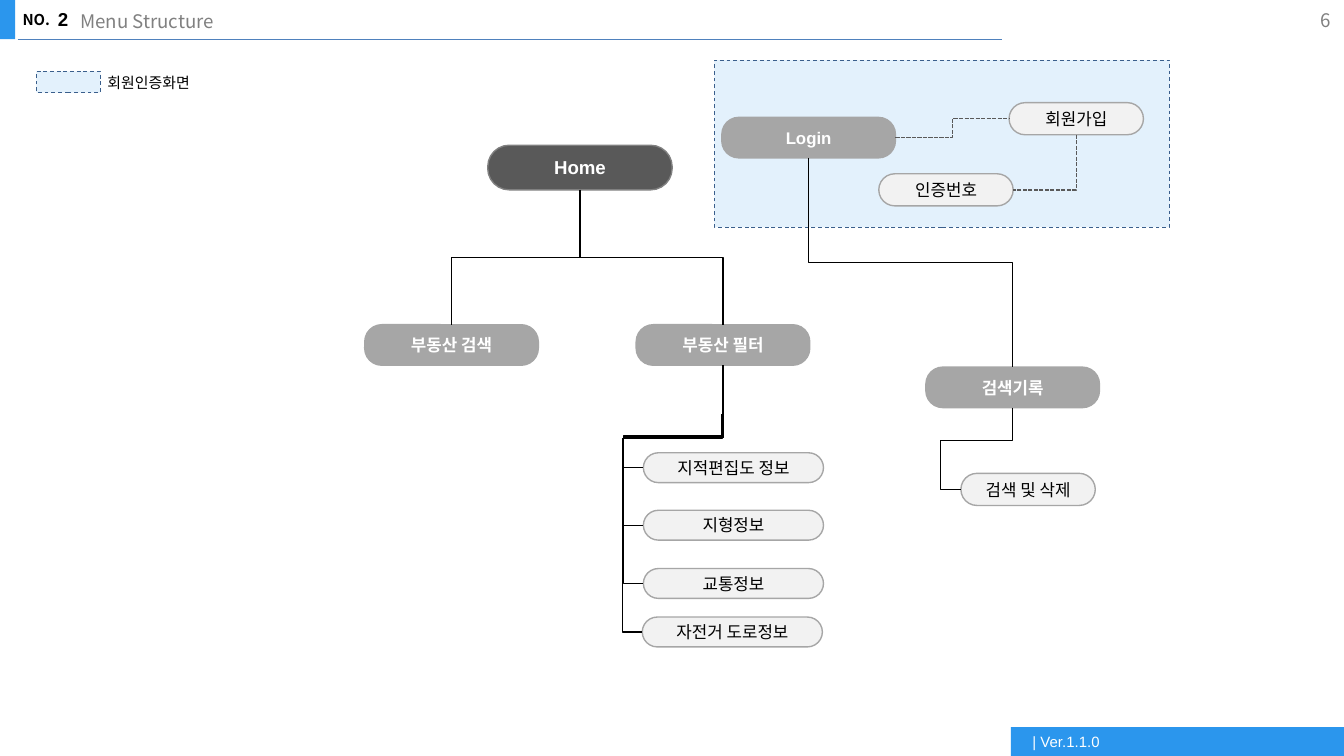
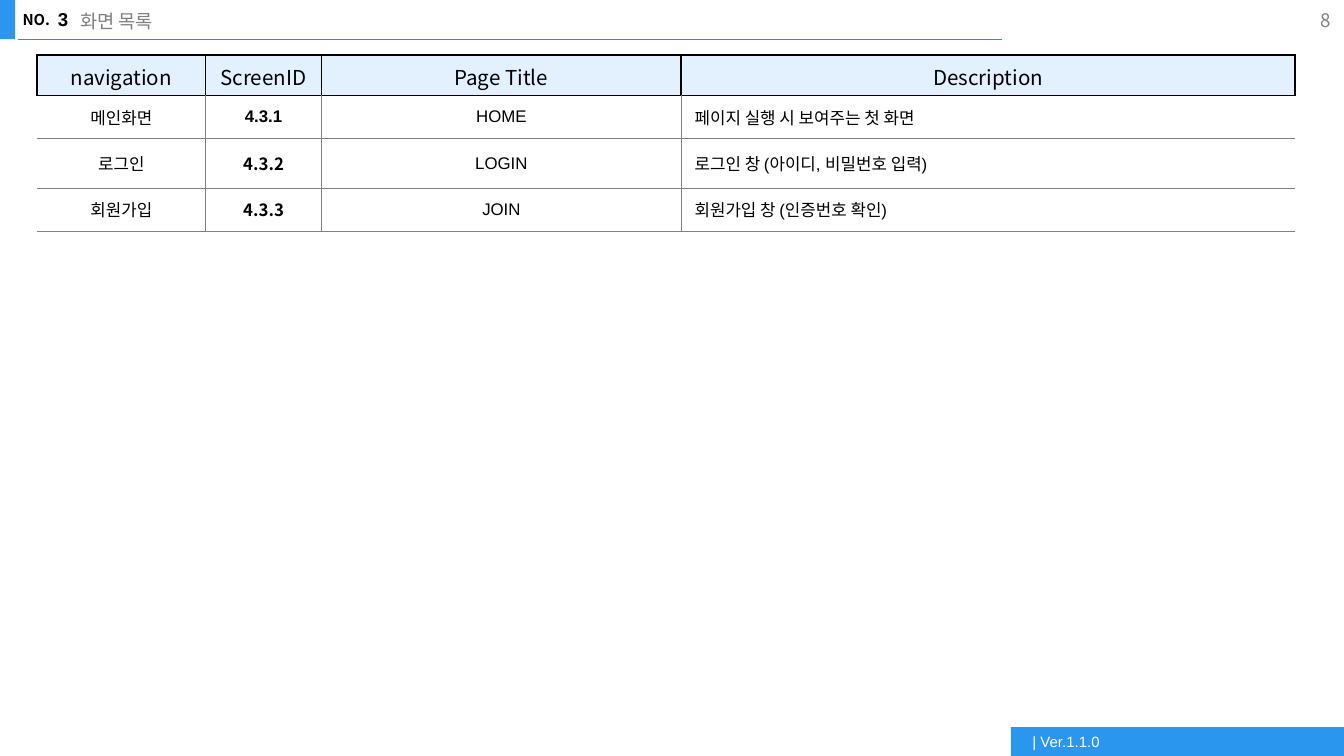
from lxml.etree import SubElement
from pptx import Presentation
from pptx.dml.color import RGBColor
from pptx.enum.dml import MSO_LINE as Dash
from pptx.enum.shapes import MSO_CONNECTOR as Link, MSO_SHAPE as Kind
from pptx.enum.text import MSO_ANCHOR as Anchor, PP_ALIGN as Align
from pptx.oxml import parse_xml
from pptx.oxml.ns import nsdecls, qn
from pptx.util import Pt


class Theme:
    blue, rule, white, black = "2B96ED", "4F81BD", "FFFFFF", "000000"
    pale, edge, head = "E3F1FC", "3A5F8C", "E2F1FD"
    dark, grey, mid, light = "595959", "808080", "A6A6A6", "F2F2F2"
    sans, noto = "Arial", "Noto Sans CJK KR"
    small, body, title, large = 8, 9, 10, 11
    hair, thin, line, thick = 0.25, 0.5, 0.75, 1


def write(frame, text, size, font, color=Theme.black, bold=False, align=Align.LEFT):
    par = frame.paragraphs[0]
    par.alignment = align
    run = par.add_run()
    run.text = text
    run.font.size, run.font.bold, run.font.name = Pt(size), bold, font
    run.font.color.rgb = RGBColor.from_string(color)
    SubElement(run.font._element, qn("a:ea"), typeface=Theme.noto)


def block(slide, kind, box, fill, edge=None, width=Theme.line, dash=None):
    """Add a flat filled shape; box is left, top, width, height in points."""
    shape = slide.shapes.add_shape(kind, *map(Pt, box))
    shape.shadow.inherit = False
    shape.fill.solid()
    shape.fill.fore_color.rgb = RGBColor.from_string(fill)
    if edge:
        shape.line.color.rgb = RGBColor.from_string(edge)
        shape.line.width = Pt(width)
        shape.line.dash_style = dash
    else:
        shape.line.fill.background()
    return shape


deck = Presentation()
deck.slide_width, deck.slide_height = Pt(720), Pt(405)

# Header and footer of every slide
slides = []
for number, title, page in [("2", "Menu Structure", "6"), ("3", "화면 목록", "8")]:
    slide = deck.slides.add_slide(deck.slide_layouts[6])
    slides.append(slide)
    block(slide, Kind.RECTANGLE, (-0.7, 0, 8.9, 21), Theme.blue)
    foot = block(slide, Kind.RECTANGLE, (541.5, 389.5, 178.5, 15.5), Theme.blue).text_frame
    foot.margin_left = Pt(11.6)
    foot.vertical_anchor = Anchor.MIDDLE
    write(foot, "| Ver.1.1.0", Theme.small, Theme.sans, Theme.white)

    rule = slide.shapes.add_connector(Link.STRAIGHT, Pt(9.5), Pt(21.1), Pt(537), Pt(21.1))
    rule.line.color.rgb = RGBColor.from_string(Theme.rule)
    rule.line.width = Pt(Theme.thin)
    SubElement(rule._element.spPr, qn("a:effectLst"))

    for text, box, inset, size, font, color, bold, align in [
        ("NO.", (5, 2.2, 30.2, 17), 7.2, Theme.small, Theme.noto, Theme.black, True, Align.LEFT),
        (number, (31, 0.7, 79, 22.3), 0, Theme.title, Theme.sans, Theme.black, True, Align.LEFT),
        (title, (36, 1.5, 425.5, 23), 7.2, Theme.title, Theme.noto, Theme.grey, False, Align.LEFT),
        (page, (676.8, 0, 43.2, 21.6), 7.2, Theme.title, Theme.noto, Theme.grey, False, Align.RIGHT),
    ]:
        frame = slide.shapes.add_textbox(*map(Pt, box)).text_frame
        frame.word_wrap = text != "NO."
        frame.margin_left = frame.margin_right = Pt(inset)
        if text == page:
            frame.vertical_anchor = Anchor.MIDDLE
        write(frame, text, size, font, color, bold, align)

menu, screens = slides

# Menu tree: sign-in area and its legend
for box in [(382.7, 32.3, 243.9, 89.4), (19.5, 38.3, 34.2, 11.3)]:
    block(menu, Kind.RECTANGLE, box, Theme.pale, Theme.edge, Theme.thin, Dash.DASH)
legend = menu.shapes.add_textbox(Pt(50.4), Pt(36), Pt(63.4), Pt(17)).text_frame
legend.word_wrap = False
write(legend, "회원인증화면", Theme.small, Theme.noto)

# Menu tree: nodes by level
# level: width, height, corner, fill, edge, text colour, bold, size
levels = {
    "home": (98.8, 23.9, 0.48, Theme.dark, Theme.grey, Theme.white, True, Theme.title),
    "main": (93, 21.7, 0.42, Theme.mid, Theme.mid, Theme.white, True, Theme.body),
    "sub": (72, 17.2, 0.5, Theme.light, Theme.mid, Theme.black, False, Theme.body),
    "info": (96.5, 16, 0.5, Theme.light, Theme.mid, Theme.black, False, Theme.body),
}
nodes = {}
for level, text, left, top in [
    ("home", "Home", 261.3, 77.8),
    ("main", "Login", 386.7, 62.9),
    ("main", "부동산 검색", 195.4, 174),
    ("main", "부동산 필터", 340.8, 174),
    ("main", "검색기록", 496, 196.7),
    ("sub", "회원가입", 540.6, 55),
    ("sub", "인증번호", 470.8, 93.1),
    ("sub", "검색 및 삭제", 514.8, 253.6),
    ("info", "지적편집도 정보", 344.7, 242.6),
    ("info", "지형정보", 344.7, 273.4),
    ("info", "교통정보", 344.7, 304.6),
    ("info", "자전거 도로정보", 344.1, 330.6),
]:
    wide, high, corner, fill, edge, color, bold, size = levels[level]
    node = block(menu, Kind.ROUNDED_RECTANGLE, (left, top, wide, high), fill, edge)
    node.adjustments[0] = corner
    frame = node.text_frame
    frame.margin_left = frame.margin_right = frame.margin_top = frame.margin_bottom = Pt(1.4)
    frame.vertical_anchor = Anchor.MIDDLE
    write(frame, text, size, Theme.sans, color, bold, Align.CENTER)
    nodes[text] = node

# Menu tree: links, with the bends as shares of the run down and the run across
TOP, LEFT, BOTTOM, RIGHT = range(4)
for start, out, end, into, bends in [
    ("Login", RIGHT, "회원가입", LEFT, [0.5]),
    ("회원가입", BOTTOM, "인증번호", RIGHT, []),
    ("Home", BOTTOM, "부동산 검색", TOP, [0.5]),
    ("Home", BOTTOM, "부동산 필터", TOP, [0.5]),
    ("Login", BOTTOM, "검색기록", TOP, [0.5]),
    ("검색기록", BOTTOM, "검색 및 삭제", LEFT, [0.4, 1.4]),
    ("부동산 필터", BOTTOM, "지적편집도 정보", LEFT, [0.69, 1.25]),
    ("부동산 필터", BOTTOM, "지형정보", LEFT, [0.45, 1.25]),
    ("부동산 필터", BOTTOM, "교통정보", LEFT, [0.33, 1.25]),
    (None, BOTTOM, "자전거 도로정보", LEFT, [0.11, 1.25]),
]:
    link = menu.shapes.add_connector(Link.ELBOW, Pt(386.8), Pt(222), Pt(387), Pt(223))
    if start:
        link.begin_connect(nodes[start], out)
    link.end_connect(nodes[end], into)
    sign_in = end in ("회원가입", "인증번호")
    link.line.color.rgb = RGBColor.from_string(Theme.dark if sign_in else Theme.black)
    link.line.width = Pt(Theme.line)
    if sign_in:
        link.line.dash_style = Dash.SQUARE_DOT
    prop = link._element.spPr
    SubElement(prop, qn("a:effectLst"))

    if out == BOTTOM:  # leaves downward, so the box is turned a quarter
        across, down = link.end_x - link.begin_x, link.end_y - link.begin_y
        mid_x, mid_y = link.begin_x + across // 2, link.begin_y + down // 2
        link.width, link.height = down, abs(across)
        link.left, link.top = mid_x - down // 2, mid_y - abs(across) // 2
        form = prop.find(qn("a:xfrm"))
        form.set("rot", str((90 if across < 0 else 270) * 60000))
        form.set("flipH", "0" if across < 0 else "1")

    shape = prop.find(qn("a:prstGeom"))
    shape.set("prst", f"bentConnector{len(bends) + 2}")
    for old in list(shape):
        shape.remove(old)
    guides = SubElement(shape, qn("a:avLst"))
    for i, bend in enumerate(bends, 1):
        SubElement(guides, qn("a:gd"), name=f"adj{i}", fmla=f"val {round(bend * 100000)}")

# Screen list
rows = [
    ("navigation", "ScreenID", "Page Title", "Description"),
    ("메인화면", "4.3.1", "HOME", "페이지 실행 시 보여주는 첫 화면"),
    ("로그인", "4.3.2", "LOGIN", "로그인 창 (아이디, 비밀번호 입력)"),
    ("회원가입", "4.3.3", "JOIN", "회원가입 창 (인증번호 확인)"),
]
widths, heights = (90.2, 62.2, 192.6, 329), (21.6, 22.9, 26.7, 23)
table = screens.shapes.add_table(
    len(rows), len(widths), Pt(19.9), Pt(29.6), Pt(sum(widths)), Pt(sum(heights))
).table
table.horz_banding = False
for col, wide in zip(table.columns, widths):
    col.width = Pt(wide)
for row, high in zip(table.rows, heights):
    row.height = Pt(high)

for r, row in enumerate(rows):
    for c, text in enumerate(row):
        cell = table.cell(r, c)
        top_row, last = r == 0, c == len(row) - 1
        cell.fill.solid()
        cell.fill.fore_color.rgb = RGBColor.from_string(Theme.head if top_row else Theme.white)
        cell.vertical_anchor = Anchor.MIDDLE
        if not top_row:
            cell.margin_top = cell.margin_bottom = Pt(2.9)
        noto = top_row or (c == 1 and r > 1)
        write(
            cell.text_frame, text,
            Theme.large if top_row else Theme.body,
            Theme.noto if noto else Theme.sans,
            bold=c == 1 and not top_row,
            align=Align.LEFT if last and not top_row else Align.CENTER,
        )
        strong, soft = (Theme.black, Theme.thick), (Theme.grey, Theme.hair)
        side = strong if top_row else soft
        edges = {
            "L": None if c == 0 and not top_row else side,
            "R": None if last and not top_row else side,
            "T": strong if r < 2 else soft,
            "B": side,
        }
        for i, (name, edge) in enumerate(edges.items()):
            color, wide = edge or (Theme.white, 0)
            paint = f'<a:solidFill><a:srgbClr val="{color}"/></a:solidFill>' if edge else "<a:noFill/>"
            border = f'<a:ln{name} {nsdecls("a")} w="{Pt(wide)}">{paint}</a:ln{name}>'
            cell._tc.get_or_add_tcPr().insert(i, parse_xml(border))

deck.save("out.pptx")
